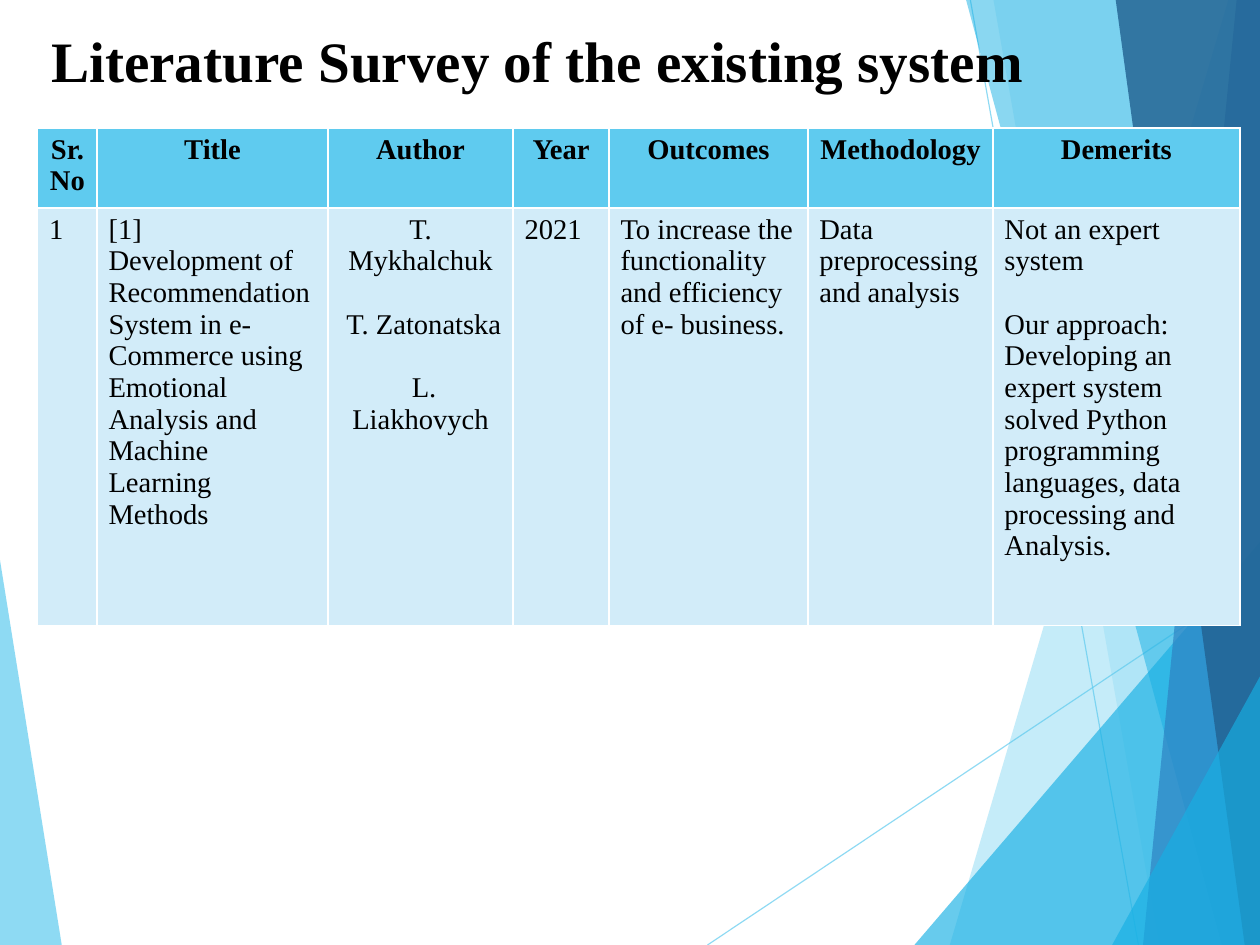
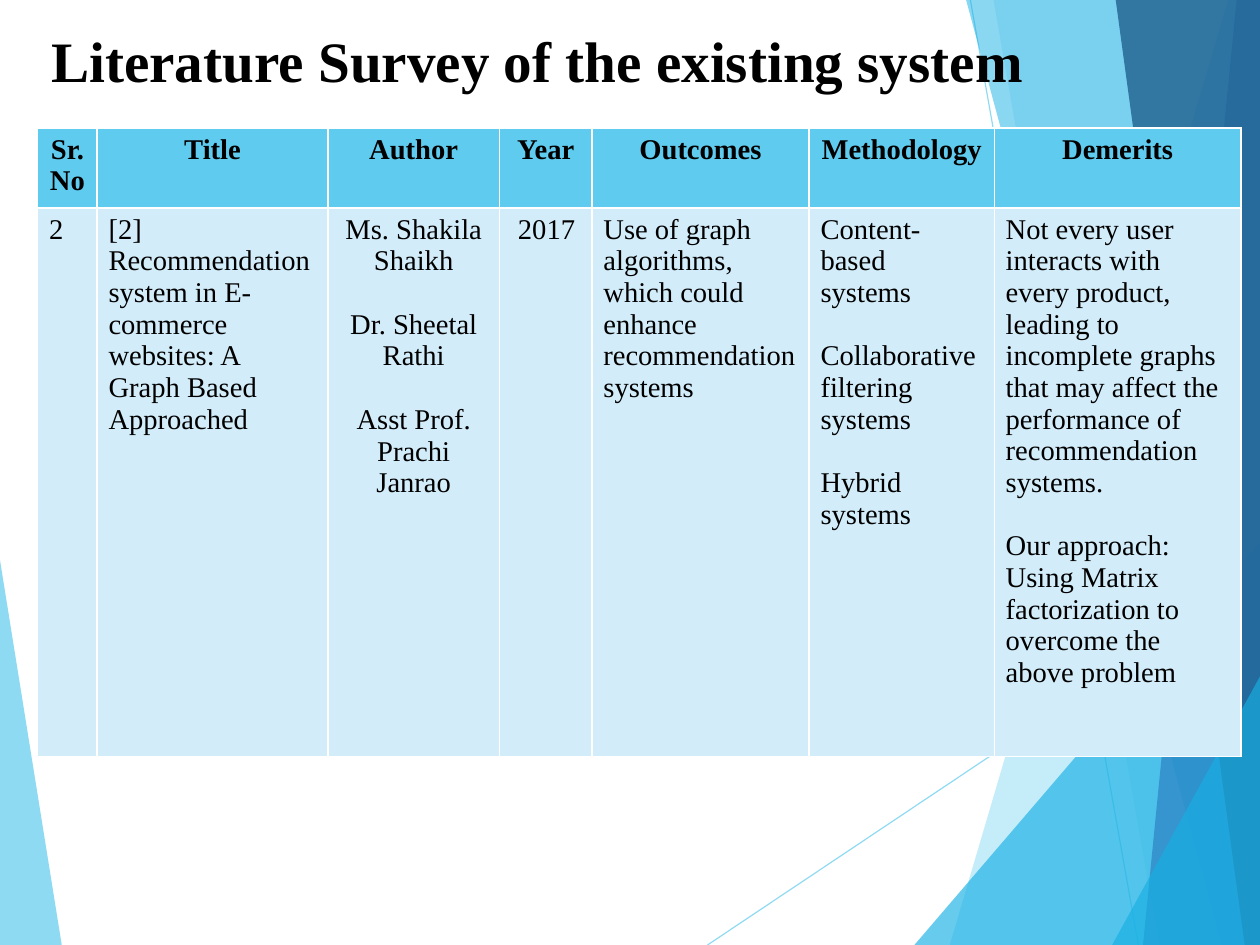
from dataclasses import dataclass

from lxml import etree
from pptx import Presentation
from pptx.dml.color import RGBColor
from pptx.enum.shapes import MSO_CONNECTOR
from pptx.enum.text import MSO_ANCHOR, PP_ALIGN
from pptx.oxml.ns import qn
from pptx.util import Inches, Pt

LEFT, CENTER = PP_ALIGN.LEFT, PP_ALIGN.CENTER
MIDDLE = MSO_ANCHOR.MIDDLE
STRAIGHT = MSO_CONNECTOR.STRAIGHT

SKY = RGBColor(0x5F, 0xCB, 0xEF)
CYAN = RGBColor(0x17, 0xB0, 0xE4)
BLUE = RGBColor(0x2E, 0x83, 0xC3)
NAVY = RGBColor(0x23, 0x62, 0x92)
PALE = RGBColor(0xD2, 0xEC, 0xF9)
WHITE = RGBColor(0xFF, 0xFF, 0xFF)
BLACK = RGBColor(0, 0, 0)

CM_PER_INCH = 2.54
W, H = 28 / CM_PER_INCH, 21 / CM_PER_INCH
BLEED = 0.01
EDGE = W + BLEED
FONT = "Times New Roman"
TITLE = "Literature Survey of the existing system"
TITLE_FONT = {"name": FONT, "size": Pt(36), "bold": True}
HEAD_FONT = {"name": FONT, "size": Pt(18), "bold": True}
BODY_FONT = {"name": FONT, "size": Pt(18), "bold": False}
PARAGRAPH_GAP = Pt(20)

Point = tuple[float, float]


@dataclass(frozen=True)
class Facet:
    points: tuple[Point, ...]
    color: RGBColor
    opacity: int


@dataclass(frozen=True)
class Ray:
    start: Point
    end: Point


@dataclass(frozen=True)
class Para:
    text: str
    gap: bool = False


@dataclass(frozen=True)
class Entry:
    paras: tuple[Para, ...]
    align: PP_ALIGN = LEFT


@dataclass(frozen=True)
class Survey:
    widths: tuple[float, ...]
    heights: tuple[float, float]
    entries: tuple[Entry, ...]


def band(top_x: float, bottom_x: float, color: RGBColor, opacity: int) -> Facet:
    points = ((top_x, -BLEED), (bottom_x, H), (EDGE, H), (EDGE, -BLEED))
    return Facet(points, color, opacity)


def corner(left: float, top: float) -> Facet:
    return Facet(((left, H), (EDGE, top), (EDGE, H)), CYAN, 65)


def entry(*texts: str, align: PP_ALIGN = LEFT) -> Entry:
    return Entry(tuple(Para(t) for t in texts), align)


def spaced(*texts: str, align: PP_ALIGN = LEFT) -> Entry:
    return Entry(tuple(Para(t, i > 0) for i, t in enumerate(texts)), align)


DECOR = (
    Facet(((-BLEED, 4.84), (0.54, H), (-BLEED, H)), SKY, 70),
    Ray((6.19, H), (EDGE, 5.03)),
    Ray((8.49, 0), (9.96, H)),
    band(10.75, 8.31, SKY, 36),
    band(8.69, 10.14, SKY, 20),
    corner(8, 4.73),
    band(8.45, 10.69, CYAN, 50),
    band(10.82, 10, BLUE, 70),
    band(9.76, 10.89, NAVY, 82),
    corner(9.73, 5.9),
)

HEADINGS = (entry("Sr.", "No", align=CENTER),) + tuple(
    entry(t, align=CENTER)
    for t in ("Title", "Author", "Year", "Outcomes", "Methodology", "Demerits")
)

SURVEYS = (
    Survey(
        (0.52, 2.02, 1.62, 0.84, 1.74, 1.62, 2.16),
        (0.63, 3.65),
        (
            entry("1"),
            entry("[1]", "Development of Recommendation System in e-Commerce using "
                  "Emotional Analysis and Machine Learning Methods"),
            spaced("T. Mykhalchuk", " T. Zatonatska", " L. Liakhovych", align=CENTER),
            entry("2021"),
            entry("To increase the functionality and efficiency of e- business."),
            entry("Data preprocessing and analysis"),
            Entry((
                Para("Not an expert system"),
                Para("Our approach:", True),
                Para("Developing an expert system solved Python programming "
                     "languages, data processing and"),
                Para("Analysis."),
            )),
        ),
    ),
    Survey(
        (0.52, 2.02, 1.5, 0.81, 1.9, 1.62, 2.16),
        (0.68, 4.8),
        (
            entry("2"),
            entry("[2]", "Recommendation system in E-commerce websites: "
                  "A Graph Based Approached"),
            spaced("Ms. Shakila Shaikh", "Dr. Sheetal Rathi",
                   "Asst Prof. Prachi Janrao", align=CENTER),
            entry(" 2017"),
            entry("Use of graph algorithms, which could enhance recommendation systems"),
            spaced("Content-based systems", "Collaborative filtering systems",
                   "Hybrid systems"),
            Entry((
                Para("Not every user interacts with every product, leading to "
                     "incomplete graphs that may affect the performance of "
                     "recommendation systems."),
                Para("Our approach:", True),
                Para("Using Matrix factorization to overcome the above problem"),
            )),
        ),
    ),
)


def set_opacity(shape, percent: int) -> None:
    for color in shape._element.spPr.iter(qn("a:srgbClr")):
        etree.SubElement(color, qn("a:alpha"), val=str(percent * 1000))


def draw_facet(s, facet: Facet) -> None:
    start, *rest = [(Inches(x), Inches(y)) for x, y in facet.points]
    builder = s.shapes.build_freeform(*start)
    builder.add_line_segments(rest)
    shape = builder.convert_to_shape()
    shape.shadow.inherit = False
    shape.fill.solid()
    shape.fill.fore_color.rgb = facet.color
    shape.line.fill.background()
    set_opacity(shape, facet.opacity)


def draw_ray(s, ray: Ray) -> None:
    line = s.shapes.add_connector(
        STRAIGHT, *(Inches(v) for v in ray.start + ray.end))
    line.line.color.rgb = SKY
    line.line.width = Pt(0.75)
    set_opacity(line, 70)
    etree.SubElement(line._element.spPr, qn("a:effectLst"))


def draw_decor(s) -> None:
    for item in DECOR:
        if isinstance(item, Ray):
            draw_ray(s, item)
        else:
            draw_facet(s, item)


def add_run(p, text: str, font: dict) -> None:
    r = p.add_run()
    r.text = text
    r.font.color.rgb = BLACK
    for name, value in font.items():
        setattr(r.font, name, value)


def draw_title(s) -> None:
    box = s.shapes.add_textbox(Inches(0.33), Inches(0.2), Inches(9.92), Inches(0.68))
    tf = box.text_frame
    frame_format = {
        "word_wrap": True,
        "vertical_anchor": MIDDLE,
        "margin_left": Inches(0.12),
        "margin_top": Inches(0.03),
        "margin_right": 0,
        "margin_bottom": 0,
    }
    for name, value in frame_format.items():
        setattr(tf, name, value)
    p = tf.paragraphs[0]
    p.line_spacing = 0.93
    add_run(p, TITLE, TITLE_FONT)


def set_borders(cell) -> None:
    tc_pr = cell._tc.get_or_add_tcPr()
    for tag in ("lnL", "lnR", "lnT", "lnB"):
        ln = etree.SubElement(tc_pr, qn(f"a:{tag}"), w=str(Pt(1)))
        fill = etree.SubElement(ln, qn("a:solidFill"))
        etree.SubElement(fill, qn("a:srgbClr"), val=str(WHITE))


def fill_cell(cell, content: Entry, font: dict, color: RGBColor) -> None:
    cell.fill.solid()
    cell.fill.fore_color.rgb = color
    tf = cell.text_frame
    for i, para in enumerate(content.paras):
        p = tf.add_paragraph() if i else tf.paragraphs[0]
        p.alignment = content.align
        if para.gap:
            p.space_before = PARAGRAPH_GAP
        add_run(p, para.text, font)


def draw_survey(s, survey: Survey) -> None:
    table = s.shapes.add_table(
        2, len(HEADINGS), Inches(0.33), Inches(1.12),
        Inches(sum(survey.widths)), Inches(sum(survey.heights))).table
    for row, height in zip(table.rows, survey.heights):
        row.height = Inches(height)
    for col, width in enumerate(survey.widths):
        table.columns[col].width = Inches(width)
        head, body = table.cell(0, col), table.cell(1, col)
        set_borders(body)
        fill_cell(head, HEADINGS[col], HEAD_FONT, SKY)
        fill_cell(body, survey.entries[col], BODY_FONT, PALE)


def main() -> None:
    prs = Presentation()
    prs.slide_width, prs.slide_height = Inches(W), Inches(H)
    blank = prs.slide_layouts[6]
    for survey in SURVEYS:
        s = prs.slides.add_slide(blank)
        draw_decor(s)
        draw_title(s)
        draw_survey(s, survey)
    prs.save("out.pptx")


if __name__ == "__main__":
    main()
